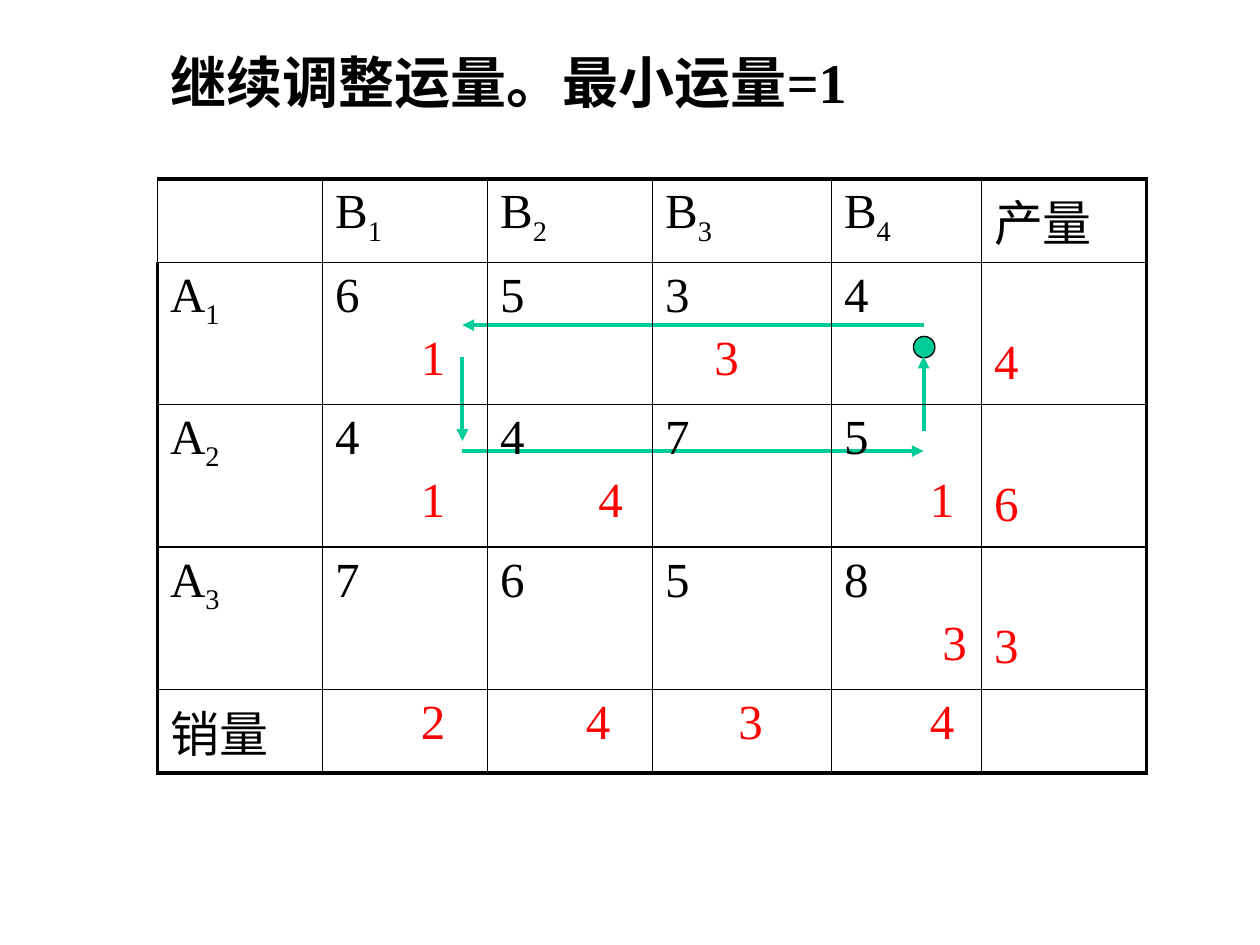
from lxml.etree import SubElement
from pptx import Presentation
from pptx.dml.color import RGBColor
from pptx.enum.shapes import MSO_CONNECTOR, MSO_SHAPE
from pptx.enum.text import MSO_ANCHOR, PP_ALIGN
from pptx.oxml import parse_xml
from pptx.oxml.ns import nsdecls, qn
from pptx.util import Inches, Pt

FONT = "Times New Roman"
BLACK, RED, GREEN = "000000", "FF0000", "00CC99"
THIN, THICK = 1, 2.25

TITLE = "继续调整运量。最小运量=1"
DESTINATIONS = ["B1", "B2", "B3", "B4"]
SUPPLY_HEADING, DEMAND_HEADING = "产量", "销量"
# Each source: name, (unit cost, shipped amount, indent of amount), supply
SOURCES = [
    ("A1", [("6", "1", 0.68), ("5", "", 0), ("3", "3", 0.39), ("4", "", 0)], "4"),
    ("A2", [("4", "1", 0.68), ("4", "4", 0.78), ("7", "", 0), ("5", "1", 0.68)], "6"),
    ("A3", [("7", "", 0), ("6", "", 0), ("5", "", 0), ("8", "3", 0.78)], "3"),
]
DEMANDS = [("2", 0.68), ("4", 0.68), ("3", 0.58), ("4", 0.68)]
COLUMN_WIDTHS = [1.31, 1.31, 1.31, 1.42, 1.19, 1.31]
ROW_HEIGHTS = [0.57, 1.13, 1.13, 1.13, 0.57]

LOOP_LEFT, LOOP_RIGHT = 3.67, 7.33
LOOP_ARROWS = [
    ((LOOP_RIGHT, 2.58), (LOOP_LEFT, 2.58)),
    ((LOOP_LEFT, 2.83), (LOOP_LEFT, 3.5)),
    ((LOOP_LEFT, 3.58), (LOOP_RIGHT, 3.58)),
    ((LOOP_RIGHT, 3.42), (LOOP_RIGHT, 2.83)),
]


def rgb(value):
    return RGBColor.from_string(value)


def add_span(para, text, color=BLACK, size=28, bold=False):
    span = para.add_run()
    span.text = text
    span.font.name = FONT
    span.font.size = Pt(size)
    span.font.bold = bold
    span.font.color.rgb = rgb(color)
    return span


def write_label(cell, label):
    """Write a letter followed by its index as a subscript."""
    para = cell.text_frame.paragraphs[0]
    add_span(para, label[0])
    index = add_span(para, label[1:])
    index._r.get_or_add_rPr().set("baseline", "-25000")


def write_amount(para, amount, indent=0):
    properties = para._p.get_or_add_pPr()
    properties.set("marL", str(Inches(indent)))
    properties.set("indent", "0")
    add_span(para, amount, RED)


def set_borders(cell, widths):
    """Widths are in points: left, right, top, bottom."""
    properties = cell._tc.get_or_add_tcPr()
    for position, (side, width) in enumerate(zip("LRTB", widths)):
        properties.insert(position, parse_xml(
            f'<a:ln{side} {nsdecls("a")} w="{Pt(width)}"><a:solidFill>'
            f'<a:srgbClr val="{BLACK}"/></a:solidFill></a:ln{side}>'))


def add_title(page):
    box = page.shapes.title
    box.left, box.top = Inches(1.25), Inches(0.33)
    box.width, box.height = Inches(7.75), Inches(0.63)
    box.text_frame.word_wrap = True
    box.text_frame.vertical_anchor = MSO_ANCHOR.TOP
    para = box.text_frame.paragraphs[0]
    para.alignment = PP_ALIGN.LEFT
    add_span(para, TITLE, size=32, bold=True)


def add_loop(page):
    """Draw the closed adjustment loop and its starting point."""
    start = page.shapes.add_shape(MSO_SHAPE.OVAL, Inches(7.25), Inches(2.67),
                                  Inches(0.17), Inches(0.17))
    start.shadow.inherit = False
    start.fill.solid()
    start.fill.fore_color.rgb = rgb(GREEN)
    start.line.color.rgb = rgb(BLACK)
    start.line.width = Pt(0.75)
    for begin, end in LOOP_ARROWS:
        arrow = page.shapes.add_connector(
            MSO_CONNECTOR.STRAIGHT, *map(Inches, begin + end))
        arrow.line.color.rgb = rgb(GREEN)
        arrow.line.width = Pt(2.25)
        SubElement(arrow.line._get_or_add_ln(), qn("a:tailEnd"), type="triangle")
        SubElement(arrow._element.spPr, qn("a:effectLst"))


def add_transport_table(page):
    rows, columns = len(ROW_HEIGHTS), len(COLUMN_WIDTHS)
    table = page.shapes.add_table(
        rows, columns, Inches(1.25), Inches(1.42),
        Inches(sum(COLUMN_WIDTHS)), Inches(sum(ROW_HEIGHTS))).table
    table.first_row = table.horz_banding = False
    for column, width in zip(table.columns, COLUMN_WIDTHS):
        column.width = Inches(width)
    for row, height in zip(table.rows, ROW_HEIGHTS):
        row.height = Inches(height)

    for r in range(rows):
        for c in range(columns):
            cell = table.cell(r, c)
            cell.fill.background()
            outer = (c == 0 and r > 0, c == columns - 1, r == 0, r == rows - 1)
            set_borders(cell, [THICK if edge else THIN for edge in outer])

    last_row, last_column = rows - 1, columns - 1
    for c, label in enumerate(DESTINATIONS, 1):
        write_label(table.cell(0, c), label)
    for cell, heading in ((table.cell(0, last_column), SUPPLY_HEADING),
                          (table.cell(last_row, 0), DEMAND_HEADING)):
        add_span(cell.text_frame.paragraphs[0], heading)

    for r, (source, routes, supply) in enumerate(SOURCES, 1):
        write_label(table.cell(r, 0), source)
        for c, (cost, amount, indent) in enumerate(routes, 1):
            frame = table.cell(r, c).text_frame
            add_span(frame.paragraphs[0], cost)
            if amount:
                para = frame.add_paragraph()
                para.space_before = Pt(5)
                write_amount(para, amount, indent)
        supply_cell = table.cell(r, last_column)
        supply_cell.vertical_anchor = MSO_ANCHOR.BOTTOM
        supply_cell.margin_bottom = Inches(0.12)
        write_amount(supply_cell.text_frame.paragraphs[0], supply)

    for c, (demand, indent) in enumerate(DEMANDS, 1):
        write_amount(table.cell(last_row, c).text_frame.paragraphs[0], demand, indent)


def main():
    deck = Presentation()
    deck.slide_width, deck.slide_height = Inches(10), Inches(7.5)
    page = deck.slides.add_slide(deck.slide_layouts[5])
    add_title(page)
    add_loop(page)
    add_transport_table(page)
    deck.save("out.pptx")


if __name__ == "__main__":
    main()
